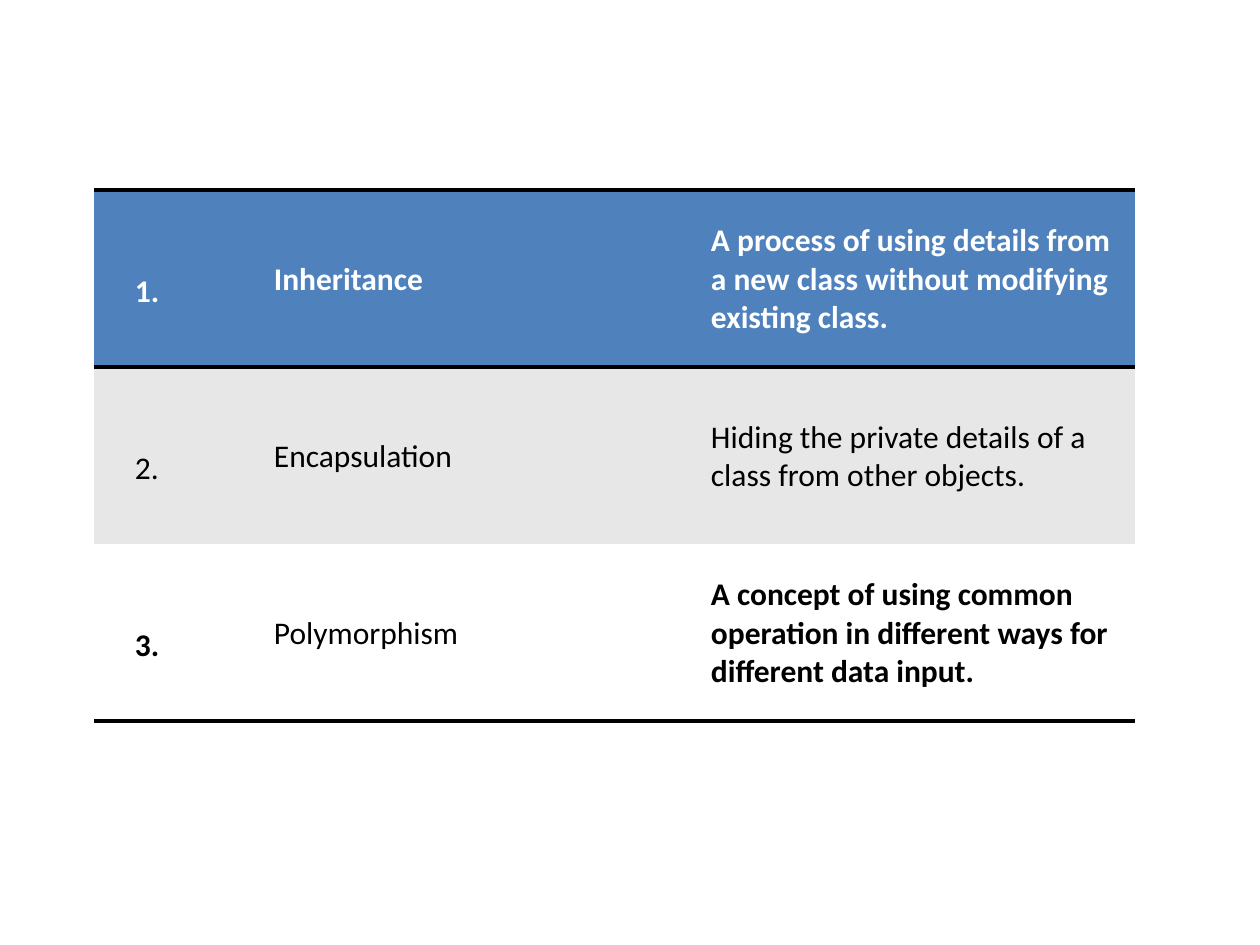
"""Build a slide with a ruled table of three object-oriented concepts."""
from lxml import etree
from pptx import Presentation
from pptx.dml.color import RGBColor
from pptx.enum.text import MSO_ANCHOR
from pptx.oxml.ns import qn
from pptx.util import Emu, Pt

TOP, MIDDLE = MSO_ANCHOR.TOP, MSO_ANCHOR.MIDDLE
BLANK_LAYOUT = 6
EMU_PER_PX = 914400 / 126
COLORS = {"header": "4F81BD", "band": "E7E7E7", "white": "FFFFFF", "black": "000000"}
CONCEPTS = [
    ("1.", "Inheritance",
     "A process of using details from a new class without modifying existing class."),
    ("2.", "Encapsulation", "Hiding the private details of a class from other objects."),
    ("3.", "Polymorphism",
     "A concept of using common operation in different ways for different data input."),
]
ROW_STYLES = [
    ("header", "white", (True, True, True)),
    ("band", "black", (False, False, False)),
    ("white", "black", (True, False, True)),
]
RULED_SIDES = [("lnT", "lnB"), ("lnT",), ("lnB",)]
NUMBER_MARGINS = (41, 83, 13, 6)
TEXT_MARGINS = (13, 13, 10, 11)


def px(length):
    """Turn pixels into EMU."""
    return Emu(round(length * EMU_PER_PX))


class SlideBuilder:
    """Hold the text style and the current slide."""

    def __init__(self, page, font="Calibri", size=18, rule=2):
        self.page, self.font, self.size, self.rule = page, font, size, rule

    def borders(self, cell, ruled):
        """Draw the ruled sides of a cell and clear the others."""
        properties = cell._tc.get_or_add_tcPr()
        for side in ("lnL", "lnR", "lnT", "lnB"):
            line = etree.SubElement(properties, qn(f"a:{side}"))
            if side in ruled:
                line.set("w", str(Pt(self.rule)))
                fill = etree.SubElement(line, qn("a:solidFill"))
                etree.SubElement(fill, qn("a:srgbClr"), val=COLORS["black"])
            else:
                etree.SubElement(line, qn("a:noFill"))

    def cell(self, cell, text, fill, color, bold, anchor, margins):
        """Fill one cell and format its text."""
        cell.fill.solid()
        cell.fill.fore_color.rgb = RGBColor.from_string(COLORS[fill])
        cell.vertical_anchor = anchor
        (cell.margin_left, cell.margin_top,
         cell.margin_right, cell.margin_bottom) = map(px, margins)
        cell.text = text
        font = cell.text_frame.paragraphs[0].font
        font.name, font.size, font.bold = self.font, Pt(self.size), bold
        font.color.rgb = RGBColor.from_string(COLORS[color])

    def table(self, rows, left, top, widths, row_height):
        """Add the table with one style per row."""
        frame = self.page.shapes.add_table(
            len(rows), len(widths), px(left), px(top),
            px(sum(widths)), px(row_height * len(rows)))
        table = frame.table
        table.first_row = table.horz_banding = False
        for column, width in zip(table.columns, widths):
            column.width = px(width)
        for r, (texts, style, ruled) in enumerate(zip(rows, ROW_STYLES, RULED_SIDES)):
            table.rows[r].height = px(row_height)
            fill, color, weights = style
            for c, (text, bold) in enumerate(zip(texts, weights)):
                cell = table.cell(r, c)
                anchor, margins = (MIDDLE, TEXT_MARGINS) if c else (TOP, NUMBER_MARGINS)
                self.borders(cell, ruled)
                self.cell(cell, text, fill, color, bold, anchor, margins)


def main():
    """Create and save the deck."""
    deck = Presentation()
    deck.slide_width, deck.slide_height = px(1260), px(945)
    page = deck.slides.add_slide(deck.slide_layouts[BLANK_LAYOUT])
    SlideBuilder(page).table(CONCEPTS, 94, 190, (167, 437, 437), 177)
    deck.save("out.pptx")


if __name__ == "__main__":
    main()
